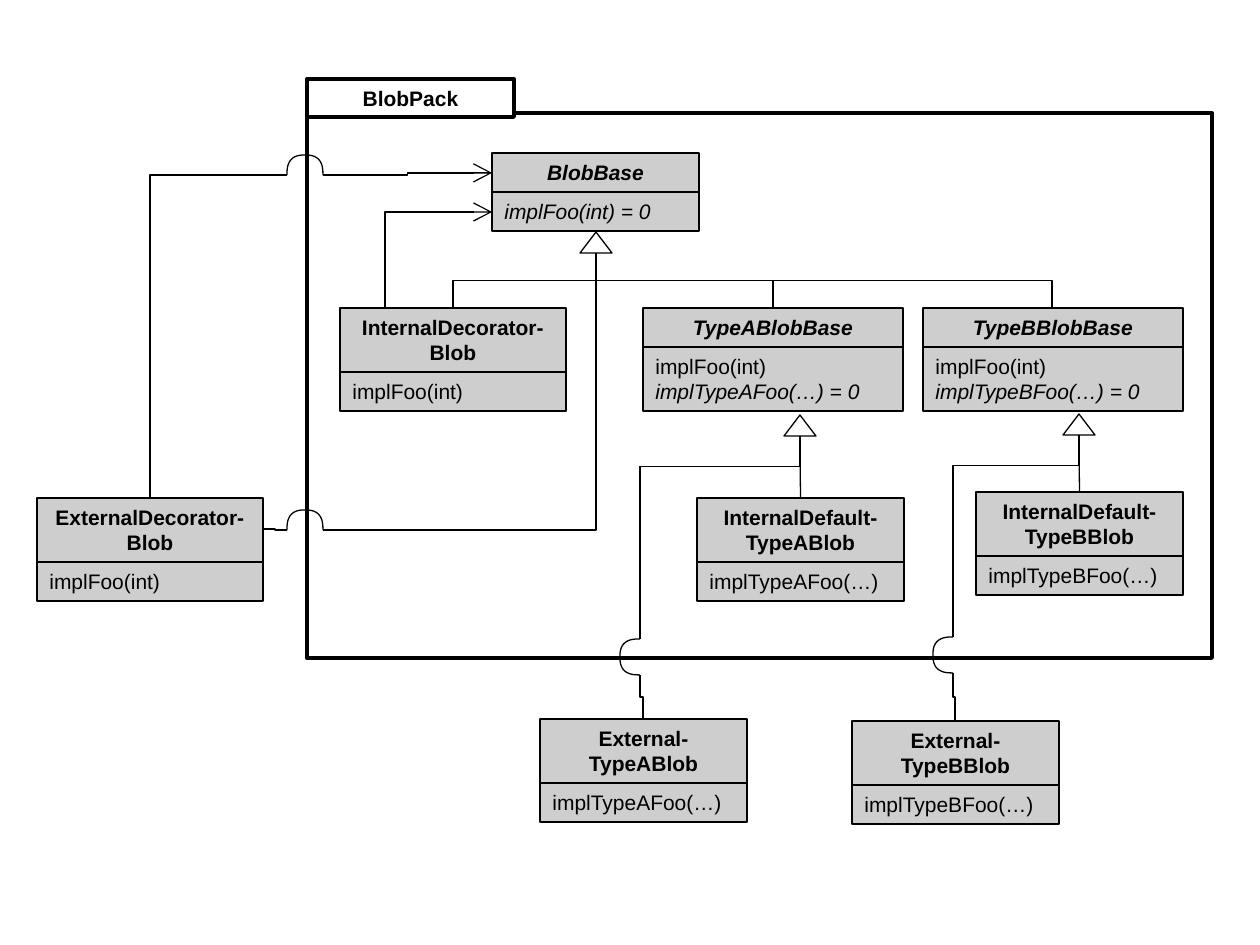
import math
from dataclasses import dataclass

import pptx
import pptx.dml.color
import pptx.enum.shapes
import pptx.enum.text
import pptx.oxml
import pptx.oxml.ns
import pptx.util

PX = 914400 / 126
BLACK = pptx.dml.color.RGBColor(0x00, 0x00, 0x00)
WHITE = pptx.dml.color.RGBColor(0xFF, 0xFF, 0xFF)
GREY = pptx.dml.color.RGBColor(0xCE, 0xCE, 0xCE)
THIN, THICK = 0.75, 2.25
KIND = pptx.enum.shapes.MSO_SHAPE
JOIN = pptx.enum.shapes.MSO_CONNECTOR
ALIGN = pptx.enum.text.PP_ALIGN
LEAD, PAD = 25, 14  # text line height, and padding of a row
SPAN, RISE = 36, 20  # bridge where a line crosses the package frame

Point = tuple[int, int]


@dataclass
class Box:
    """A class box: name row above a member row."""
    x: int
    y: int
    wide: int
    name: str
    lines: int
    body: list[str]
    pure: bool = False


@dataclass
class Bend:
    """A bent line with one corner, or two when mid is given."""
    start: Point
    end: Point
    down: bool = True
    mid: float | None = 0.5
    arrow: bool = False


def emu(px: float) -> int:
    return round(px * PX)


def tag(owner, kind: str, **attrs: str):
    """Append a drawing element to its owner."""
    node = pptx.oxml.parse_xml(f"<a:{kind} {pptx.oxml.ns.nsdecls('a')}/>")
    for key, value in attrs.items():
        node.set(key, value)
    owner.append(node)


def style(shape, fill=None, width: float = THIN):
    shape.shadow.inherit = False
    if fill is None:
        shape.fill.background()
    else:
        shape.fill.solid()
        shape.fill.fore_color.rgb = fill
    shape.line.color.rgb = BLACK
    shape.line.width = pptx.util.Pt(width)


def draw(slide, kind, x: int, y: int, wide: int, high: int, **look):
    shape = slide.shapes.add_shape(kind, emu(x), emu(y), emu(wide), emu(high))
    style(shape, **look)
    return shape


def write(shape, lines: list[str], align=ALIGN.LEFT, bold=False, slant=False):
    """Fill a shape with text; pure virtual members are always italic."""
    frame = shape.text_frame
    frame.word_wrap = True
    frame.vertical_anchor = pptx.enum.text.MSO_ANCHOR.TOP
    for i, line in enumerate(lines):
        para = frame.add_paragraph() if i else frame.paragraphs[0]
        para.alignment = align
        run = para.add_run()
        run.text = line
        font = run.font
        font.name, font.size = "Arial", pptx.util.Pt(12)
        font.bold = bold
        font.italic = slant or line.endswith("= 0")
        font.color.rgb = BLACK


def draw_box(slide, box: Box):
    """Draw both rows and return the name row."""
    head, body = PAD + LEAD * box.lines, PAD + LEAD * len(box.body)
    top = draw(slide, KIND.RECTANGLE, box.x, box.y, box.wide, head, fill=GREY)
    write(top, [box.name], align=ALIGN.CENTER, bold=True, slant=box.pure)
    low = draw(slide, KIND.RECTANGLE, box.x, box.y + head, box.wide, body, fill=GREY)
    write(low, box.body)
    return top


def link(slide, kind, start: Point, end: Point):
    line = slide.shapes.add_connector(kind, *map(emu, start + end))
    line.line.color.rgb = BLACK
    line.line.width = pptx.util.Pt(THIN)
    tag(line.element.spPr, "effectLst")
    return line


def draw_bend(slide, bend: Bend):
    line = link(slide, JOIN.ELBOW, bend.start, bend.end)
    props = line.element.spPr
    geom = props.find(pptx.oxml.ns.qn("a:prstGeom"))
    if bend.mid is None:
        geom.set("prst", "bentConnector2")
    else:
        guides = geom.find(pptx.oxml.ns.qn("a:avLst"))
        tag(guides, "gd", name="adj1", fmla=f"val {round(bend.mid * 100000)}")
    if bend.down:
        # A quarter turn about the centre makes the first leg vertical
        (x1, y1), (x2, y2) = bend.start, bend.end
        wide, high = abs(y2 - y1), abs(x2 - x1)
        line.left, line.top = emu((x1 + x2 - wide) / 2), emu((y1 + y2 - high) / 2)
        line.width, line.height = emu(wide), emu(high)
        frame = props.find(pptx.oxml.ns.qn("a:xfrm"))
        frame.set("rot", "5400000")
        frame.set("flipH", str(int(y2 < y1)))
        frame.set("flipV", str(int(x2 > x1)))
    if bend.arrow:
        edge = props.find(pptx.oxml.ns.qn("a:ln"))
        tag(edge, "tailEnd", type="arrow", w="lg", len="lg")


def draw_bridge(slide, x: int, y: int, down: bool):
    """Draw a rounded hop, upward on a level line or leftward on an upright one."""
    dots = []
    for i in range(25):
        turn = math.pi * i / 24
        cos = math.cos(turn)
        along = SPAN / 2 * (1 - math.copysign(abs(cos) ** 0.75, cos))
        out = RISE * abs(math.sin(turn)) ** 0.75
        spot = (x - out, y + along) if down else (x + along, y - out)
        dots.append((emu(spot[0]), emu(spot[1])))
    trace = slide.shapes.build_freeform(*dots[0], scale=1.0)
    trace.add_line_segments(dots[1:], close=False)
    style(trace.convert_to_shape())


ROOT, TIP_A, TIP_B = (596, 253), (800, 436), (1079, 435)

BOXES = [
    Box(492, 153, 207, "BlobBase", 1, ["implFoo(int) = 0"], pure=True),
    Box(643, 308, 260, "TypeABlobBase", 1,
        ["implFoo(int)", "implTypeAFoo(…) = 0"], pure=True),
    Box(923, 308, 260, "TypeBBlobBase", 1,
        ["implFoo(int)", "implTypeBFoo(…) = 0"], pure=True),
    Box(340, 308, 226, "InternalDecorator-Blob", 2, ["implFoo(int)"]),
    Box(37, 498, 226, "ExternalDecorator-Blob", 2, ["implFoo(int)"]),
    Box(540, 719, 207, "External-TypeABlob", 2, ["implTypeAFoo(…)"]),
    Box(852, 721, 207, "External-TypeBBlob", 2, ["implTypeBFoo(…)"]),
]
# Default blobs, each with the triangle tip it derives from
LEAVES = [
    (TIP_A, Box(697, 498, 207, "InternalDefault-TypeABlob", 2, ["implTypeAFoo(…)"])),
    (TIP_B, Box(976, 492, 207, "InternalDefault-TypeBBlob", 2, ["implTypeBFoo(…)"])),
]
BENDS = [
    # Inheritance from the base
    *(Bend(ROOT, (x, 308)) for x in (453, 773, 1052)),
    Bend(ROOT, (323, 530), mid=None),
    Bend((287, 530), (263, 529), down=False),
    # References held by the decorators
    Bend((385, 308), (492, 212), mid=None, arrow=True),
    Bend((323, 175), (492, 173), down=False, arrow=True),
    Bend((287, 175), (150, 498), down=False, mid=None),
    # Inheritance of the external types
    Bend(TIP_A, (640, 639), mid=0.15),
    Bend((640, 675), (643, 719)),
    Bend(TIP_B, (953, 637), mid=0.15),
    Bend((953, 673), (955, 721)),
]
BRIDGES = [(287, 530, False), (287, 175, False), (640, 639, True), (953, 637, True)]


def main():
    deck = pptx.Presentation()
    deck.slide_width, deck.slide_height = emu(1260), emu(945)
    slide = deck.slides.add_slide(deck.slide_layouts[6])

    # Classes and inheritance triangles
    for box in BOXES:
        draw_box(slide, box)
    for x, y in (ROOT, TIP_A, TIP_B):
        draw(slide, KIND.ISOSCELES_TRIANGLE, x - 16, y - 21, 32, 21, fill=WHITE)

    # Lines
    for tip, box in LEAVES:
        top = draw_box(slide, box)
        line = link(slide, JOIN.STRAIGHT, tip, (tip[0], box.y))
        line.end_connect(top, 0)
    for bend in BENDS:
        draw_bend(slide, bend)

    # Package frame and its tab
    draw(slide, KIND.RECTANGLE, 307, 113, 905, 545, width=THICK)
    tab = draw(slide, KIND.RECTANGLE, 307, 79, 207, 38, fill=WHITE, width=THICK)
    write(tab, ["BlobPack"], align=ALIGN.CENTER, bold=True)

    # Hops over the frame
    for x, y, down in BRIDGES:
        draw_bridge(slide, x, y, down)

    deck.save("out.pptx")


if __name__ == "__main__":
    main()
